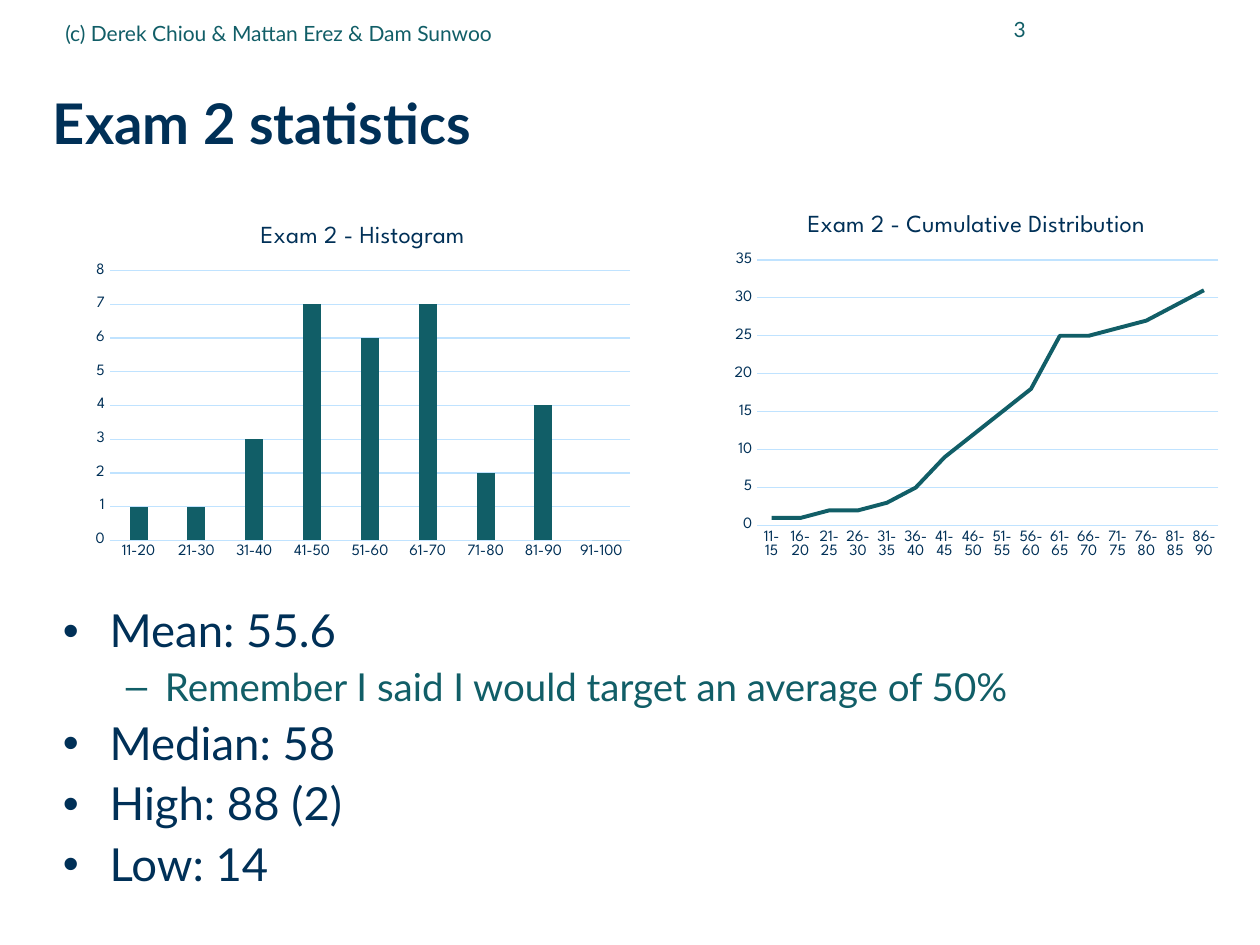
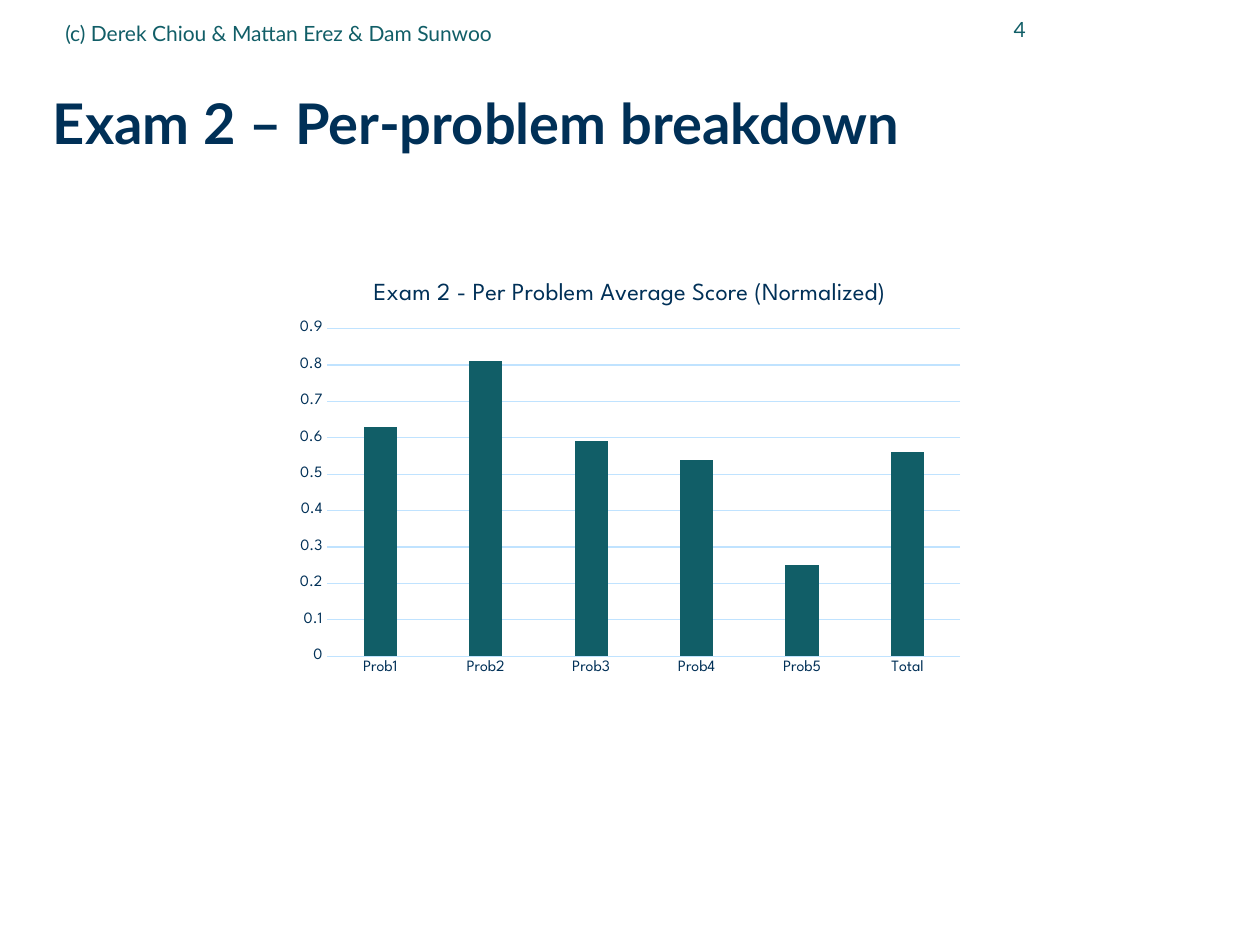
import pptx
import pptx.util
import pptx.chart.data
import pptx.dml.color
import pptx.enum.chart
import pptx.enum.text
import pptx.oxml.ns
from lxml import etree

Inches = pptx.util.Inches
Pt = pptx.util.Pt
XL = pptx.enum.chart
ALIGN = pptx.enum.text.PP_ALIGN
ANCHOR = pptx.enum.text.MSO_ANCHOR

NAVY, TEAL, PALE = "003057", "115E67", "C0E3FF"
TEXT_FONT, CHART_FONT = "Lato", "League Spartan"
COLUMN = XL.XL_CHART_TYPE.COLUMN_CLUSTERED
LINE = XL.XL_CHART_TYPE.LINE


def rgb(color):
    return pptx.dml.color.RGBColor.from_string(color)


def add_text(s, box, lines, size, color, bold=False, inset=(0, 0), anchor=ANCHOR.MIDDLE):
    tf = s.shapes.add_textbox(*[Inches(v) for v in box]).text_frame
    tf.word_wrap = True
    tf.vertical_anchor = anchor
    tf.margin_left = tf.margin_right = Inches(inset[0])
    tf.margin_top = tf.margin_bottom = Inches(inset[1])
    for i, line in enumerate(lines):
        p = tf.paragraphs[0] if i == 0 else tf.add_paragraph()
        r = p.add_run()
        r.text = line
        r.font.name = TEXT_FONT
        r.font.size = Pt(size)
        r.font.bold = bold
        r.font.color.rgb = rgb(color)
    return tf


slides = [
    ("Exam 2 statistics", [
        ("Exam 2 - Histogram", COLUMN, (0.67, 1.63, 4.42, 2.87),
         [f"{n}-{n + 9}" for n in range(11, 100, 10)],
         [1, 1, 3, 7, 6, 7, 2, 4, 0], 8, 1),
        ("Exam 2 - Cumulative Distribution", LINE, (5.75, 1.54, 4, 2.96),
         [f"{n}-{n + 4}" for n in range(11, 90, 5)],
         [1, 1, 2, 2, 3, 5, 9, 12, 15, 18, 25, 25, 26, 27, 29, 31], 35, 5),
    ], [
        (0, "Mean: 55.6"),
        (1, "Remember I said I would target an average of 50%"),
        (0, "Median: 58"),
        (0, "High: 88 (2)"),
        (0, "Low: 14"),
    ]),
    ("Exam 2 – Per-problem breakdown", [
        ("Exam 2 - Per Problem Average Score (Normalized)", COLUMN, (2.27, 2.07, 5.46, 3.36),
         ["Prob1", "Prob2", "Prob3", "Prob4", "Prob5", "Total"],
         [0.63, 0.81, 0.59, 0.54, 0.25, 0.56], 0.9, 0.1),
    ], []),
]
levels = [
    (26, NAVY, "•", 0.37, 0.37, 6.5),
    (22, TEAL, "–", 0.81, 0.31, 6),
]

prs = pptx.Presentation()
prs.slide_width = Inches(10)
prs.slide_height = Inches(7.5)

for number, (title, charts, bullets) in enumerate(slides, 3):
    s = prs.slides.add_slide(prs.slide_layouts[6])
    tf = add_text(s, (0.42, 0.5, 9.41, 0.98), [title], 32, NAVY, bold=True)
    tf.paragraphs[0].line_spacing = 0.99
    tf = add_text(s, (7.33, -0.02, 0.91, 0.5), [str(number)], 12, TEAL, inset=(0.1, 0.05))
    tf.paragraphs[0].alignment = ALIGN.RIGHT
    add_text(s, (0.42, 0.03, 5.67, 0.46), ["(c) Derek Chiou & Mattan Erez & Dam Sunwoo"],
             12, TEAL, inset=(0.1, 0.05))

    if bullets:
        tf = add_text(s, (0.5, 4.83, 9.33, 2.65), [line for _, line in bullets], 26, NAVY,
                      anchor=ANCHOR.TOP)
        for i, (p, (level, _)) in enumerate(zip(tf.paragraphs, bullets)):
            size, color, mark, margin, hang, before = levels[level]
            p.level = level
            pPr = p._p.get_or_add_pPr()
            pPr.set("marL", str(Inches(margin)))
            pPr.set("indent", str(-Inches(hang)))
            buClr = etree.SubElement(pPr, pptx.oxml.ns.qn("a:buClr"))
            etree.SubElement(buClr, pptx.oxml.ns.qn("a:srgbClr"), val=color)
            etree.SubElement(pPr, pptx.oxml.ns.qn("a:buFont"), typeface="Arial")
            etree.SubElement(pPr, pptx.oxml.ns.qn("a:buChar"), char=mark)
            p.line_spacing = 0.9
            p.space_before = Pt(before if i else 0)
            font = p.runs[0].font
            font.size = Pt(size)
            font.color.rgb = rgb(color)

    for name, kind, box, cats, vals, top, step in charts:
        data = pptx.chart.data.CategoryChartData()
        data.categories = cats
        data.add_series("Series 1", vals)
        chart = s.shapes.add_chart(kind, *[Inches(v) for v in box], data).chart
        chart.has_legend = False
        chart.font.name = CHART_FONT
        chart.font.size = Pt(10)
        chart.font.color.rgb = rgb(NAVY)

        chart.has_title = True
        r = chart.chart_title.text_frame.paragraphs[0].add_run()
        r.text = name
        r.font.name = CHART_FONT
        r.font.size = Pt(14)
        r.font.bold = False
        r.font.color.rgb = rgb(NAVY)
        chart.chart_title.include_in_layout = False

        for axis in (chart.category_axis, chart.value_axis):
            axis.major_tick_mark = axis.minor_tick_mark = XL.XL_TICK_MARK.NONE
            axis.tick_labels.font.name = CHART_FONT
            axis.tick_labels.font.size = Pt(9)
            axis.tick_labels.font.color.rgb = rgb(NAVY)
        value_axis = chart.value_axis
        value_axis.minimum_scale = 0
        value_axis.maximum_scale = top
        value_axis.major_unit = step
        value_axis.format.line.fill.background()
        for line in (chart.category_axis.format.line, value_axis.major_gridlines.format.line):
            line.color.rgb = rgb(PALE)
            line.width = Pt(0.75)

        plot = chart.plots[0]
        plot.vary_by_categories = False
        series = plot.series[0]
        if kind == LINE:
            series.smooth = False
            series.marker.style = XL.XL_MARKER_STYLE.NONE
            series.format.line.color.rgb = rgb(TEAL)
            series.format.line.width = Pt(2.25)
        else:
            plot.gap_width = 219
            plot.overlap = -27
            series.format.fill.solid()
            series.format.fill.fore_color.rgb = rgb(TEAL)

prs.save("out.pptx")
